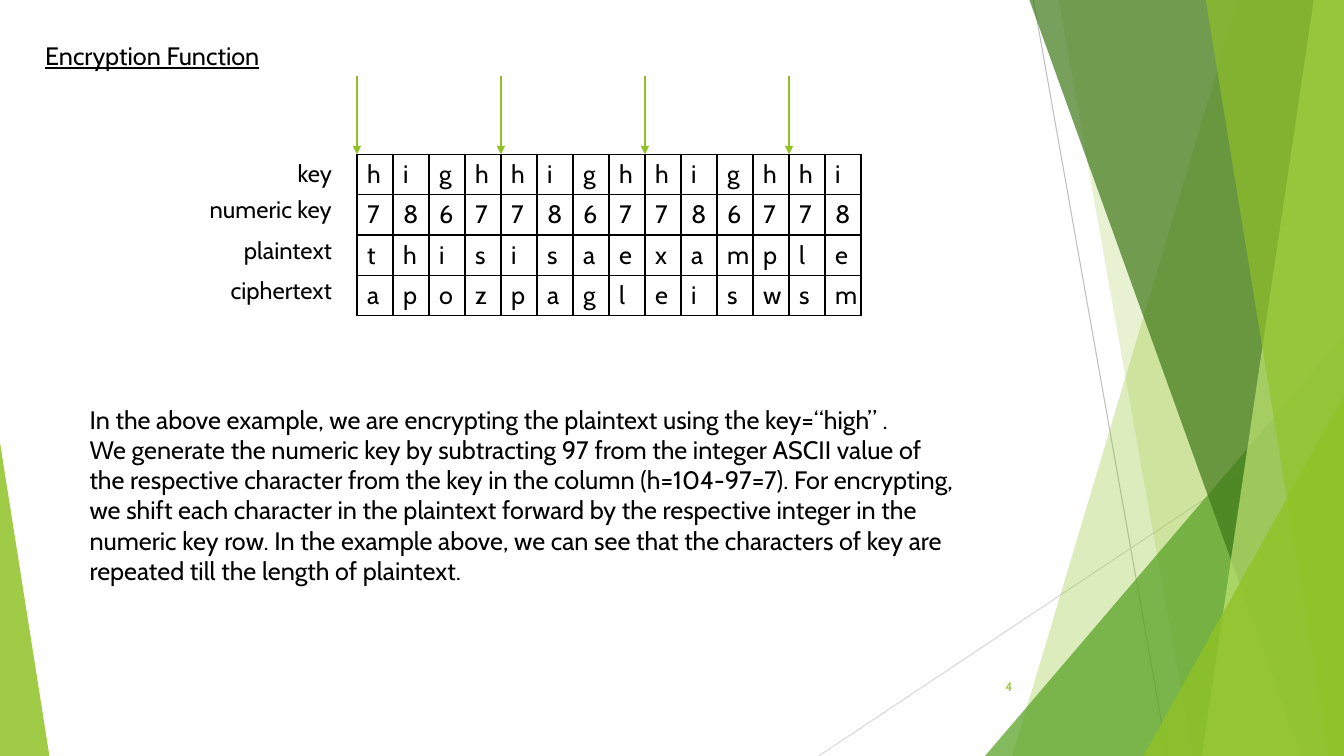
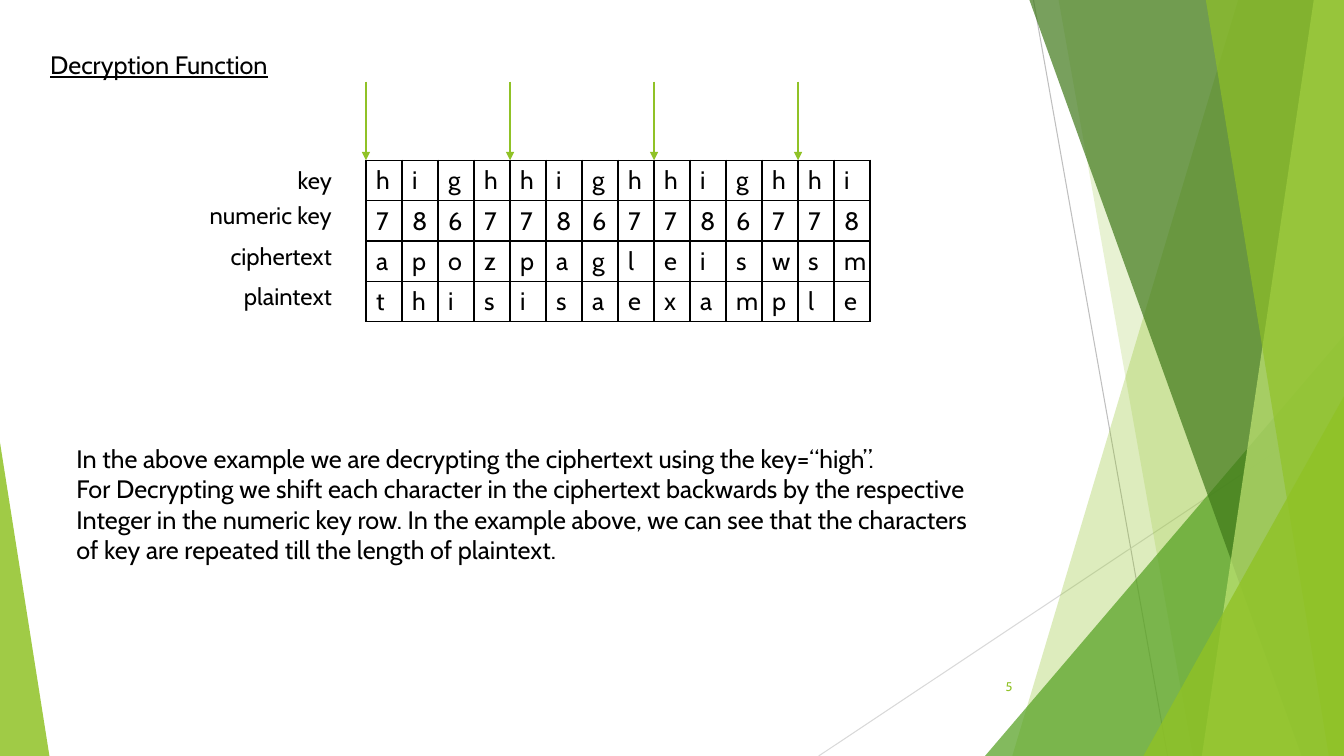
from lxml.etree import SubElement
from pptx import Presentation
from pptx.dml.color import RGBColor
from pptx.enum.shapes import MSO_CONNECTOR, MSO_SHAPE
from pptx.enum.text import MSO_ANCHOR, PP_ALIGN
from pptx.oxml import parse_xml
from pptx.oxml.ns import nsdecls, qn
from pptx.util import Inches, Pt

W, H = 13.33, 7.5
FONT = "Cabin"
BLACK, LIME, GREEN, FOREST, PALE = "000000", "90C226", "54A021", "3F7819", "C0E474"

# Letter grid: one column per character, one row per text
COL, ROW = 5 / 14, 0.4
KEY_LENGTH = 4
ARROW = 0.78
LABEL_WIDTH, LABEL_RIGHT = 1.6, 3.39
LABEL_TOPS = [0, 0.35, 0.76, 1.16]

# Diagonal bands: top x, bottom x, colour, opacity; each runs to the right edge
BACK_BANDS = [(12.28, 10.04, LIME, 30), (10.5, 11.83, LIME, 20)]
FRONT_BANDS = [(10.21, 12.91, FOREST, 70), (13.03, 11.92, PALE, 70),
               (11.96, 13.18, LIME, 65)]

KEY = ("key", "highhighhighhi")
NUMERIC = ("numeric key", "78677867786778")
PLAIN = ("plaintext", "thisisaexample")
CIPHER = ("ciphertext", "apozpagleiswsm")

# Title, its place, tables with their rows, grid place, body place, body lines, number
PAGES = [
    ("Encryption Function", (0.35, 0.35), [[KEY, NUMERIC, PLAIN, CIPHER]],
     (3.54, 1.53), (0.79, 3.96),
     ["In the above example, we are encrypting the plaintext using the key=“high” .",
      "We generate the numeric key by subtracting 97 from the integer ASCII value of",
      "the respective character from the key in the column (h=104-97=7). For encrypting,",
      "we shift each character in the plaintext forward by the respective integer in the",
      "numeric key row. In the example above, we can see that the characters of key are",
      "repeated till the length of plaintext."], "4"),
    ("Decryption Function", (0.4, 0.44), [[KEY], [NUMERIC], [CIPHER], [PLAIN]],
     (3.63, 1.59), (0.66, 4.35),
     ["In the above example we are decrypting the ciphertext using the key=“high”.",
      "For Decrypting we shift each character in the ciphertext backwards by the respective",
      "Integer in the numeric key row. In the example above, we can see that the characters",
      "of key are repeated till the length of plaintext."], "5"),
]


def rgb(color):
    return RGBColor.from_string(color)


def box(*lengths):
    return [Inches(n) for n in lengths]


def write(tf, lines, size=18, color=BLACK, align=PP_ALIGN.LEFT, underline=None):
    tf.text = "\n".join(lines)
    for p in tf.paragraphs:
        p.alignment = align
        for r in p.runs:
            r.font.name, r.font.size = FONT, Pt(size)
            r.font.color.rgb = rgb(color)
            r.font.underline = underline


def add_text(s, x, y, w, h, lines, anchor=MSO_ANCHOR.TOP, **style):
    tf = s.shapes.add_textbox(*box(x, y, w, h)).text_frame
    tf.word_wrap = True
    tf.vertical_anchor = anchor
    write(tf, lines, **style)


def add_line(s, x1, y1, x2, y2, color, width, arrow=False):
    line = s.shapes.add_connector(MSO_CONNECTOR.STRAIGHT, *box(x1, y1, x2, y2))
    line.line.color.rgb = rgb(color)
    line.line.width = Pt(width)
    if arrow:
        SubElement(line.line._get_or_add_ln(), qn("a:tailEnd"), type="triangle")
    SubElement(line.element.spPr, qn("a:effectLst"))


def paint(sp, color, opacity):
    sp.shadow.inherit = False
    sp.line.fill.background()
    sp.fill.solid()
    sp.fill.fore_color.rgb = rgb(color)
    clr = sp.element.spPr.find(".//" + qn("a:srgbClr"))
    SubElement(clr, qn("a:alpha"), val=str(opacity * 1000))


def add_band(s, top, bottom, color, opacity):
    fb = s.shapes.build_freeform(Inches(top), 0)
    fb.add_line_segments([box(W, 0), box(W, H), box(bottom, H)], close=True)
    paint(fb.convert_to_shape(), color, opacity)


def add_triangle(s, x, y, w, apex, color, opacity):
    sp = s.shapes.add_shape(MSO_SHAPE.ISOSCELES_TRIANGLE, *box(x, y, w, H - y))
    sp.adjustments[0] = apex
    paint(sp, color, opacity)


def backdrop(s):
    """Thin lines, diagonal bands and corner triangles."""
    add_line(s, 10.25, 0, 11.58, H, "BFBFBF", 0.75)
    add_line(s, W, 4.03, 8.12, H, "D9D9D9", 0.75)
    for band in BACK_BANDS:
        add_band(s, *band)
    add_triangle(s, 9.77, 3.33, W - 9.77, 1, GREEN, 72)
    for band in FRONT_BANDS:
        add_band(s, *band)
    add_triangle(s, 11.34, 3.93, W - 11.34, 1, LIME, 80)
    add_triangle(s, 0, 4.39, 0.49, 0, LIME, 85)


def share_backdrop(s, layout):
    """Move the backdrop to the layout, so every slide shows it."""
    backdrop(s)
    for shape in list(s.shapes):
        layout.shapes.element.append(shape.element)


def frame_cell(cell):
    cell.fill.background()
    tcPr = cell._tc.get_or_add_tcPr()
    for i, side in enumerate("LRTB"):
        tcPr.insert(i, parse_xml(
            f'<a:ln{side} {nsdecls("a")} w="12700"><a:solidFill>'
            f'<a:srgbClr val="{BLACK}"/></a:solidFill></a:ln{side}>'))


def letter_table(s, x, y, texts):
    """Bordered table with one character in each cell."""
    count = len(texts[0])
    table = s.shapes.add_table(
        len(texts), count, *box(x, y, count * COL, len(texts) * ROW)).table
    table.first_row = table.horz_banding = False
    for column in table.columns:
        column.width = Inches(COL)
    for i, letters in enumerate(texts):
        table.rows[i].height = Inches(ROW)
        for j, letter in enumerate(letters):
            cell = table.cell(i, j)
            write(cell.text_frame, [letter])
            frame_cell(cell)


def letter_grid(s, x, y, tables):
    """Stacked tables with row labels and an arrow at each key start."""
    row = 0
    for rows in tables:
        letter_table(s, x, y + row * ROW, [letters for _, letters in rows])
        row += len(rows)
    labels = [label for rows in tables for label, _ in rows]
    for label, top in zip(labels, LABEL_TOPS):
        add_text(s, LABEL_RIGHT - LABEL_WIDTH, y + top, LABEL_WIDTH, ROW, [label],
                 size=17, align=PP_ALIGN.RIGHT)
    for j in range(0, len(KEY[1]), KEY_LENGTH):
        add_line(s, x + j * COL, y - ARROW, x + j * COL, y, LIME, 1, arrow=True)


def cipher_slide(s, title, title_at, tables, grid_at, body_at, body, number):
    add_text(s, *title_at, 2.54, ROW, [title], underline=True)
    letter_grid(s, *grid_at, tables)
    add_text(s, *body_at, 9.9, 0.3 * len(body) + 0.1, body)
    add_text(s, 9.39, 6.61, 0.75, ROW, [number], anchor=MSO_ANCHOR.MIDDLE,
             size=9, color=LIME, align=PP_ALIGN.RIGHT)


def main():
    prs = Presentation()
    prs.slide_width, prs.slide_height = box(W, H)
    layout = prs.slide_layouts[6]
    slides = [prs.slides.add_slide(layout) for _ in PAGES]
    share_backdrop(slides[0], layout)
    for s, page in zip(slides, PAGES):
        cipher_slide(s, *page)
    prs.save("out.pptx")


if __name__ == "__main__":
    main()
